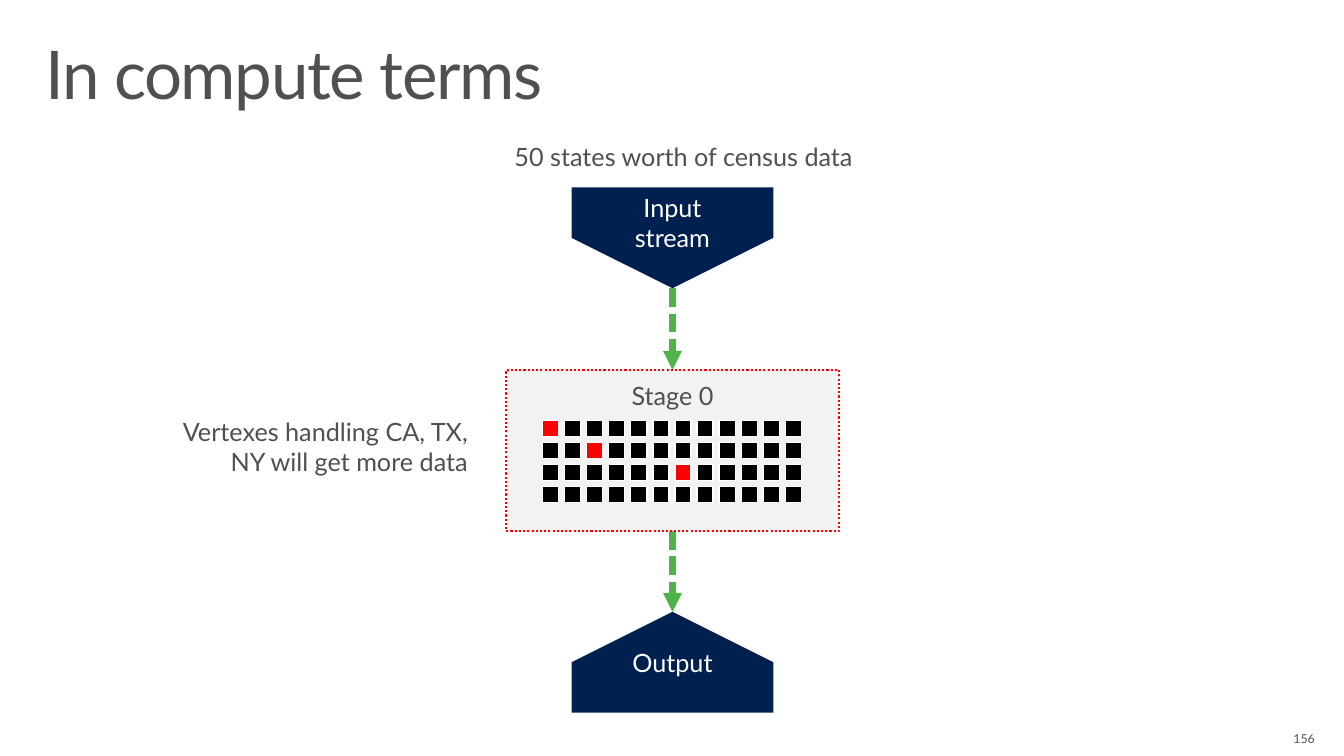
from lxml import etree
from pptx import Presentation
from pptx.dml.color import RGBColor
from pptx.enum.dml import MSO_LINE
from pptx.enum.shapes import MSO_CONNECTOR, MSO_SHAPE
from pptx.enum.text import MSO_ANCHOR, PP_ALIGN
from pptx.oxml.ns import qn
from pptx.util import Inches, Pt

GREY, WHITE, BLACK = "505050", "FFFFFF", "000000"
NAVY, GREEN, RED, PALE = "002050", "50B347", "FF0000", "F2F2F2"
LEFT, MID, RIGHT = PP_ALIGN.LEFT, PP_ALIGN.CENTER, PP_ALIGN.RIGHT
TOP, CENTRE = MSO_ANCHOR.TOP, MSO_ANCHOR.MIDDLE
EDGE = (0.1, 0.05, 0.1, 0.05)
NOTE = (0, 0, 0, 0.1)


def rgb(code):
    return RGBColor.from_string(code)


class Deck:
    font = "Lato"

    def __init__(self):
        self.prs = Presentation()
        self.prs.slide_width, self.prs.slide_height = Inches(13.33), Inches(7.5)
        self.slide = self.prs.slides.add_slide(self.prs.slide_layouts[5])
        self.shapes = self.slide.shapes

    def text(self, shape, words, size=18, color=GREY, align=MID, anchor=TOP, pad=EDGE):
        """Fill a shape with one paragraph; a newline becomes a line break."""
        frame = shape.text_frame
        frame.word_wrap = True
        frame.vertical_anchor = anchor
        (frame.margin_left, frame.margin_top,
         frame.margin_right, frame.margin_bottom) = map(Inches, pad)
        para = frame.paragraphs[0]
        para.alignment = align
        for i, line in enumerate(words.split("\n")):
            if i:
                para.add_line_break()
            run = para.add_run()
            run.text = line
            run.font.name, run.font.size = self.font, Pt(size)
            run.font.color.rgb = rgb(color)
        return para

    def title(self, words, box):
        head = self.shapes.title
        head.left, head.top, head.width, head.height = map(Inches, box)
        para = self.text(head, words, 48, align=LEFT, pad=(0.16, 0.1, 0.16, 0.1))
        para.line_spacing = 0.9
        para.runs[0].font._element.set("spc", "-100")

    def label(self, words, box, **style):
        self.text(self.shapes.add_textbox(*map(Inches, box)), words, **style)

    def paint(self, shape, fill, line=None, width=1):
        shape.shadow.inherit = False
        shape.fill.solid()
        shape.fill.fore_color.rgb = rgb(fill)
        if line:
            shape.line.color.rgb = rgb(line)
            shape.line.width = Pt(width)
        else:
            shape.line.fill.background()

    def rect(self, group, box, fill, line, width=1):
        shape = group.shapes.add_shape(MSO_SHAPE.RECTANGLE, *map(Inches, box))
        self.paint(shape, fill, line, width)
        return shape

    def outline(self, points, fill):
        start, *rest = [(Inches(x), Inches(y)) for x, y in points]
        pen = self.shapes.build_freeform(*start)
        pen.add_line_segments(rest, close=True)
        shape = pen.convert_to_shape()
        self.paint(shape, fill)
        return shape

    def arrow(self, x, top, end):
        """Draw a dashed arrow straight down."""
        link = self.shapes.add_connector(
            MSO_CONNECTOR.STRAIGHT, *map(Inches, (x, top, x, end)))
        link.line.color.rgb = rgb(GREEN)
        link.line.width = Pt(4.5)
        link.line.dash_style = MSO_LINE.SQUARE_DOT
        etree.SubElement(link.line._get_or_add_ln(), qn("a:tailEnd"), type="triangle")
        etree.SubElement(link._element.spPr, qn("a:effectLst"))
        return link


def main():
    deck = Deck()
    deck.title("In compute terms", (0.29, 0.31, 12.74, 1.01))

    left, right, axis = 5.67, 7.67, 6.67
    source = deck.outline([(right, 1.86), (left, 1.86), (left, 2.36),
                           (axis, 2.86), (right, 2.36)], NAVY)
    deck.text(source, "Input\nstream", color=WHITE)
    sink = deck.outline([(right, 7.07), (right, 6.57), (axis, 6.07),
                         (left, 6.57), (left, 7.07)], NAVY)
    deck.text(sink, "Output", color=WHITE, anchor=CENTRE)

    into = deck.arrow(axis, 2.86, 3.67)
    out = deck.arrow(axis, 5.27, 6.07)

    group = deck.shapes.add_group_shape()
    stage = deck.rect(group, (5.02, 3.67, 3.3, 1.6), PALE, RED, 1.5)
    stage.line.dash_style = MSO_LINE.ROUND_DOT
    deck.text(stage, "Stage 0", pad=(0.1, 0.1, 0.1, 0.05))
    into.end_connect(stage, 0)
    out.begin_connect(stage, 2)

    rows, cols, side = 4, 12, 0.16
    step = (7.79 - 5.38) / (cols - 1)
    busy = {(0, 0), (1, 2), (2, 6)}
    for row in range(rows):
        for col in range(cols):
            fill = RED if (row, col) in busy else BLACK
            box = (5.38 + col * step, 4.17 + row * step, side, side)
            deck.rect(group, box, fill, WHITE)

    deck.label("50 states worth of census data", (5.05, 1.4, 3.46, 0.4),
               anchor=CENTRE, pad=NOTE)
    deck.label("Vertexes handling CA, TX, NY will get more data",
               (1.49, 4.12, 3.15, 0.71), align=RIGHT, anchor=CENTRE, pad=NOTE)
    deck.label("156", (12.43, 7.25, 0.61, 0.15), size=8.8, align=RIGHT,
               anchor=CENTRE, pad=(0.1, 0, 0, 0))
    deck.prs.save("out.pptx")


if __name__ == "__main__":
    main()
